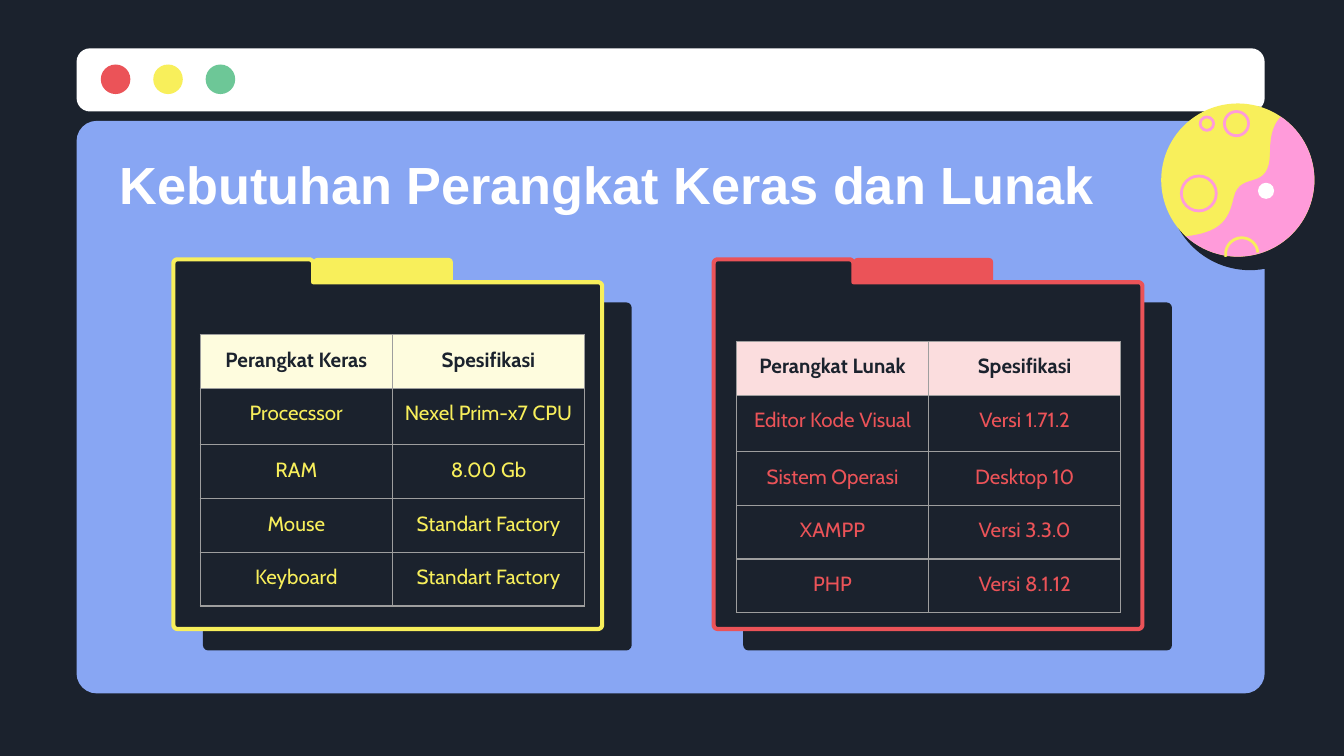
import math
import pptx
import pptx.util
import pptx.dml.color
import pptx.enum.shapes
import pptx.enum.text
import pptx.oxml
import pptx.oxml.ns

Inches, Pt = pptx.util.Inches, pptx.util.Pt
KIND = pptx.enum.shapes.MSO_SHAPE
ALIGN, ANCHOR = pptx.enum.text.PP_ALIGN, pptx.enum.text.MSO_ANCHOR

# Content
TITLE = "Kebutuhan Perangkat Keras dan Lunak"
DARK, BLUE, WHITE, GRAY = "1B222D", "88A6F3", "FFFFFF", "9E9E9E"
RED, YELLOW, GREEN, PINK = "EB5358", "F8EF5B", "6DC797", "FF9BDA"
FOLDERS = [
    dict(left=5.31, color=RED, tint="FBDDDE", table=(5.48, 2.54), rows=[
        ("Perangkat Lunak", "Spesifikasi"),
        ("Editor Kode Visual", "Versi 1.71.2"),
        ("Sistem Operasi", "Desktop 10"),
        ("XAMPP", "Versi 3.3.0"),
        ("PHP", "Versi 8.1.12")]),
    dict(left=1.29, color=YELLOW, tint="FEFCDE", table=(1.49, 2.49), rows=[
        ("Perangkat Keras", "Spesifikasi"),
        ("Procecssor", "Nexel Prim-x7 CPU"),
        ("RAM", "8.00 Gb"),
        ("Mouse", "Standart Factory"),
        ("Keyboard", "Standart Factory")]),
]
HEIGHTS = [0.4, 0.42, 0.4, 0.4, 0.4]
CRATERS = [(8.92, 1.44, 0.13), (8.98, 0.92, 0.05), (9.2, 0.92, 0.09)]
WAVE = [  # edge between the two halves of the planet
    [(8.82, 1.76), (9.06, 1.73), (9.14, 1.66), (9.18, 1.47)],
    [(9.18, 1.47), (9.23, 1.26), (9.45, 1.44), (9.45, 1.13)],
    [(9.45, 1.13), (9.45, 0.98), (9.49, 0.91), (9.53, 0.87)],
]


def rgb(code):
    return pptx.dml.color.RGBColor.from_string(code)


def paint(shape, fill=None, line=None, width=1.5):
    shape.shadow.inherit = False
    if fill:
        shape.fill.solid()
        shape.fill.fore_color.rgb = rgb(fill)
    else:
        shape.fill.background()
    if line:
        shape.line.color.rgb = rgb(line)
        shape.line.width = Pt(width)
    else:
        shape.line.fill.background()


def box(x, y, w, h, fill, radius):
    shape = shapes.add_shape(KIND.ROUNDED_RECTANGLE, *map(Inches, (x, y, w, h)))
    shape.adjustments[0] = radius / min(w, h)
    paint(shape, fill)


def disc(x, y, r, fill=None, line=None):
    shape = shapes.add_shape(
        KIND.OVAL, *map(Inches, (x - r, y - r, 2 * r, 2 * r)))
    paint(shape, fill, line)


def outline(points, fill=None, line=None, width=1.5, close=True):
    spots = [(Inches(x), Inches(y)) for x, y in points]
    form = shapes.build_freeform(*spots[0], scale=1.0)
    form.add_line_segments(spots[1:], close=close)
    paint(form.convert_to_shape(), fill, line, width)


def arc(x, y, r, start, end, steps=48):
    turns = [math.radians(start + (end - start) * i / steps)
             for i in range(steps + 1)]
    return [(x + r * math.cos(t), y + r * math.sin(t)) for t in turns]


def curve(a, b, c, d, steps=16):
    def mix(t, i):
        u = 1 - t
        return (u ** 3 * a[i] + 3 * u * u * t * b[i]
                + 3 * u * t * t * c[i] + t ** 3 * d[i])
    return [(mix(k / steps, 0), mix(k / steps, 1)) for k in range(steps + 1)]


def folder(x, color):
    box(x + 0.22, 2.25, 3.19, 2.59, DARK, 0.04)
    box(x + 1.04, 1.92, 1.04, 0.33, color, 0.03)
    # Front with a tab: each rounded corner is a quarter arc
    r, top, lip, low = 0.03, 1.93, 2.1, 4.68
    tab, right = x + 1.04, x + 3.19
    corners = [(x + r, top + r, 180), (tab - r, top + r, 270), (tab, lip, None),
               (right - r, lip + r, 270), (right - r, low - r, 0),
               (x + r, low - r, 90)]
    points = []
    for cx, cy, turn in corners:
        points += ([(cx, cy)] if turn is None
                   else arc(cx, cy, r, turn, turn + 90, 6))
    outline(points, DARK, color, 2.25)


def border(cell):
    props = cell._tc.get_or_add_tcPr()
    for i, side in enumerate(("lnL", "lnR", "lnT", "lnB")):
        props.insert(i, pptx.oxml.parse_xml(
            f'<a:{side} {pptx.oxml.ns.nsdecls("a")} w="9525"><a:solidFill>'
            f'<a:srgbClr val="{GRAY}"/></a:solidFill></a:{side}>'))


def grid(spot, rows, color, tint):
    table = shapes.add_table(len(rows), 2, Inches(spot[0]), Inches(spot[1]),
                             Inches(2.86), Inches(sum(HEIGHTS))).table
    table.first_row = table.horz_banding = False
    for col in table.columns:
        col.width = Inches(1.43)
    for r, row in enumerate(rows):
        table.rows[r].height = Inches(HEIGHTS[r])
        for c, text in enumerate(row):
            cell = table.cell(r, c)
            cell.margin_left = cell.margin_right = Inches(0.07)
            cell.margin_top = cell.margin_bottom = 0
            if r == 0:
                cell.fill.solid()
                cell.fill.fore_color.rgb = rgb(tint)
            else:
                cell.fill.background()
            border(cell)
            para = cell.text_frame.paragraphs[0]
            para.text = text
            para.alignment = ALIGN.CENTER
            para.line_spacing = 1.5
            para.space_after = Pt(8)
            style(para.runs[0], 11, "Cabin", color if r else DARK, r == 0)


def style(run, size, face, color, bold):
    run.font.size = Pt(size)
    run.font.name = face
    run.font.color.rgb = rgb(color)
    run.font.bold = bold


# Slide in 16:9
deck = pptx.Presentation()
deck.slide_width, deck.slide_height = Inches(10), Inches(10 * 9 / 16)
slide = deck.slides.add_slide(deck.slide_layouts[5])
shapes = slide.shapes
slide.background.fill.solid()
slide.background.fill.fore_color.rgb = rgb(DARK)

# Browser window
box(0.57, 0.9, 8.84, 4.26, BLUE, 0.15)
box(0.57, 0.36, 8.84, 0.47, WHITE, 0.1)
for i, color in enumerate((RED, YELLOW, GREEN)):
    disc(0.86 + i * 0.39, 0.59, 0.11, color)

# Planet
disc(9.3, 1.4, 0.61, DARK)
disc(9.21, 1.34, 0.57, YELLOW)
for x, y, r in CRATERS:
    disc(x, y, r, line=PINK)
wave = [point for part in WAVE for point in curve(*part)]
outline(wave + arc(9.21, 1.34, 0.57, -56, 133), PINK)
outline(arc(9.24, 1.89, 0.12, 170, 355), line=YELLOW, close=False)
disc(9.42, 1.42, 0.06, WHITE)

# Title, brought in front of the window
title = shapes.title
title.left, title.top = Inches(0.79), Inches(1.06)
title.width, title.height = Inches(8.43), Inches(0.62)
frame = title.text_frame
frame.text = TITLE
frame.word_wrap = True
frame.vertical_anchor = ANCHOR.MIDDLE
frame.margin_left = frame.margin_right = Inches(0.1)
frame.margin_top = frame.margin_bottom = Inches(0.1)
frame.paragraphs[0].alignment = ALIGN.LEFT
style(frame.paragraphs[0].runs[0], 28, "Arial", WHITE, True)
shapes._spTree.append(title._element)

# Folders and their tables
for item in FOLDERS:
    folder(item["left"], item["color"])
    grid(item["table"], item["rows"], item["color"], item["tint"])

deck.save("out.pptx")
